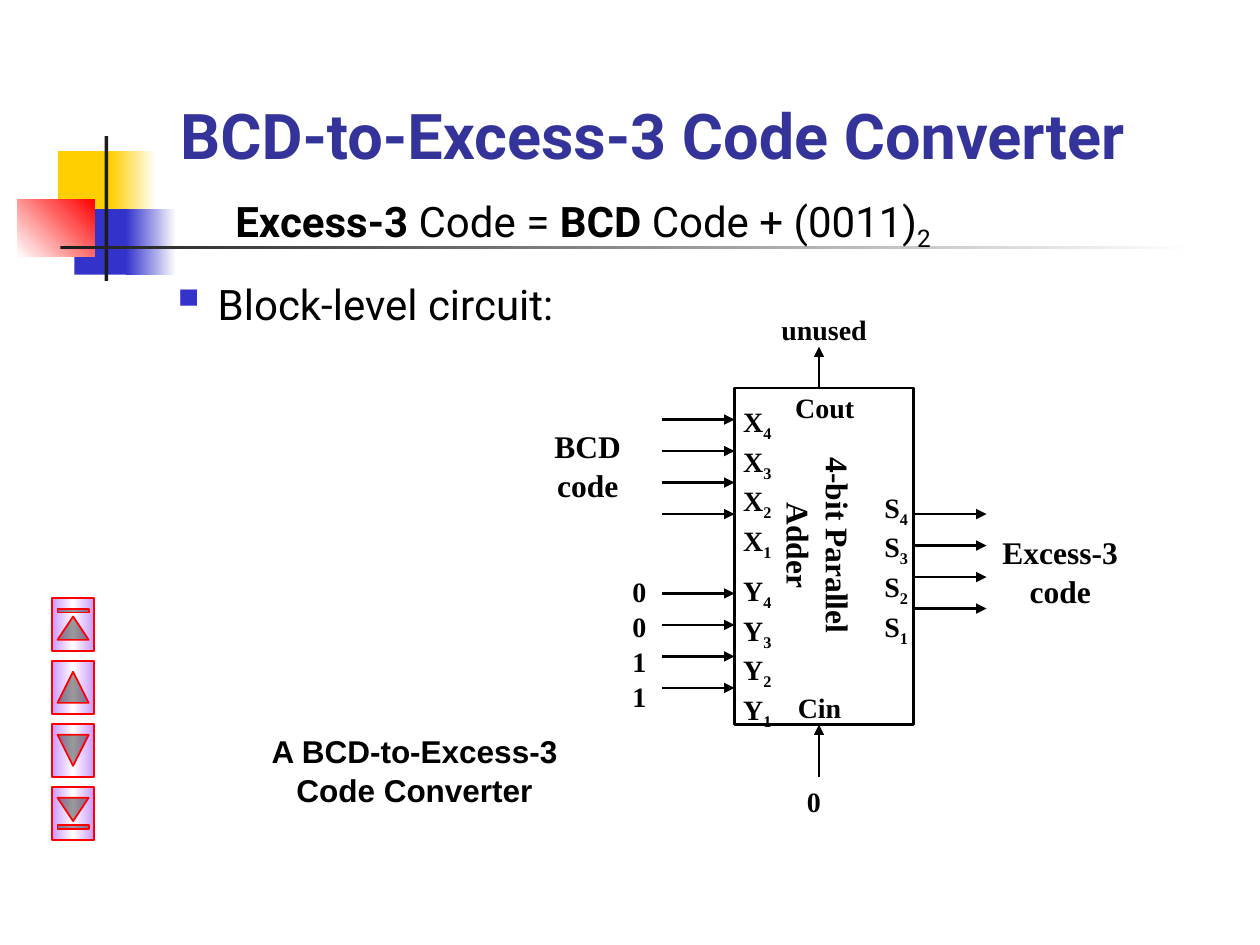
import pptx
import pptx.util
import pptx.dml.color
import pptx.enum.shapes
import pptx.enum.text
import pptx.oxml
import pptx.oxml.ns

Inches, Pt = pptx.util.Inches, pptx.util.Pt
RGB = pptx.dml.color.RGBColor
SHAPE = pptx.enum.shapes.MSO_SHAPE
ALIGN = pptx.enum.text.PP_ALIGN
ANCHOR = pptx.enum.text.MSO_ANCHOR

BLACK, WHITE = RGB(0, 0, 0), RGB(255, 255, 255)
INK = RGB(0x1C, 0x1C, 0x1C)
YELLOW = RGB(0xFF, 0xCF, 0x01)
BLUE = RGB(0x33, 0x33, 0xCC)
TITLE_BLUE = RGB(0x33, 0x33, 0x99)
RED = RGB(0xFF, 0, 0)
LILAC = RGB(0xCC, 0x99, 0xFF)

SERIF_16 = {"name": "Times New Roman", "size": Pt(16), "bold": True}
SERIF_18 = {**SERIF_16, "size": Pt(18)}
ARIAL_18 = {**SERIF_18, "name": "Arial"}
ROBOTO_24 = {"name": "Roboto", "size": Pt(24)}
ROBOTO_36 = {"name": "Roboto", "size": Pt(36), "bold": True}


def xml(text):
    """Parse one DrawingML element."""
    return pptx.oxml.parse_xml(text.replace(">", f' {pptx.oxml.ns.nsdecls("a")}>', 1)
                               if "/>" not in text.split(">")[0] + ">"
                               else text.replace("/>", f' {pptx.oxml.ns.nsdecls("a")}/>', 1))


def set_format(obj, values):
    """Set each attribute of an object from a dict."""
    for key, value in values.items():
        setattr(obj, key, value)


def fill_gradient(sp, colors, angle):
    """Fill a shape with evenly spaced colours at a clockwise angle."""
    stops = "".join(
        f'<a:gs pos="{100000 * i // (len(colors) - 1)}"><a:srgbClr val="{c}"/></a:gs>'
        for i, c in enumerate(colors))
    sp.fill.background()
    old = sp._element.spPr.find(pptx.oxml.ns.qn("a:noFill"))
    old.getparent().replace(old, xml(
        f'<a:gradFill rotWithShape="1"><a:gsLst>{stops}</a:gsLst>'
        f'<a:lin ang="{angle * 60000}" scaled="0"/></a:gradFill>'))


def add_block(s, kind, box, colors=(), angle=0, line=None, width=1):
    """Add a shape with no fill, one colour or a gradient."""
    sp = s.shapes.add_shape(kind, *map(Inches, box))
    sp.shadow.inherit = False
    if len(colors) > 1:
        fill_gradient(sp, colors, angle)
    elif colors:
        sp.fill.solid()
        sp.fill.fore_color.rgb = colors[0]
    else:
        sp.fill.background()
    if line is None:
        sp.line.fill.background()
    else:
        sp.line.color.rgb = line
        sp.line.width = Pt(width)
    return sp


def add_run(p, text, font, color=BLACK, sub=False):
    """Add one formatted run, lowered if it is a subscript."""
    r = p.add_run()
    r.text = text
    set_format(r.font, font)
    r.font.color.rgb = color
    if sub:
        r.font._element.set("baseline", "-25000")


def add_label(s, box, lines, font, align=ALIGN.CENTER, rotation=0):
    """Add a text box; each line is a word with an optional subscript."""
    sp = s.shapes.add_textbox(*map(Inches, box))
    sp.rotation = rotation
    tf = sp.text_frame
    tf.word_wrap = True
    for i, (text, sub) in enumerate(lines):
        p = tf.paragraphs[0] if i == 0 else tf.add_paragraph()
        set_format(p, {"alignment": align, "line_spacing": 1.04})
        add_run(p, text, font)
        if sub:
            add_run(p, sub, font, sub=True)


def add_arrow(s, x1, y1, x2, y2):
    """Add a thin black arrow."""
    c = s.shapes.add_connector(pptx.enum.shapes.MSO_CONNECTOR.STRAIGHT,
                               *map(Inches, (x1, y1, x2, y2)))
    c.line.color.rgb = BLACK
    c.line.width = Pt(1.25)
    c.line._get_or_add_ln().append(xml('<a:tailEnd type="triangle"/>'))
    c._element.spPr.append(xml("<a:effectLst/>"))


def add_decoration(s, x, y):
    """Draw the coloured squares and the crossing rules."""
    for dx, dy, w, h, colors, angle in [
            (0.32, 0.12, 0.48, 0.52, [YELLOW], 0),
            (0.74, 0.12, 0.36, 0.52, [YELLOW, WHITE], 0),
            (0.45, 0.58, 0.46, 0.52, [BLUE], 0),
            (0.86, 0.58, 0.4, 0.52, [BLUE, WHITE], 0),
            (0, 0.5, 0.61, 0.46, [WHITE, RED], 315),
            (0.69, 0, 0.03, 1.15, [INK], 0),
            (0.34, 0.87, 9, 0.03, [INK, WHITE], 0)]:
        add_block(s, SHAPE.RECTANGLE, (x + dx, y + dy, w, h), colors, angle)


def add_title(s, box, text):
    """Place and format the title placeholder."""
    sp = s.shapes.title
    set_format(sp, dict(zip(("left", "top", "width", "height"), map(Inches, box))))
    tf = sp.text_frame
    set_format(tf, {"vertical_anchor": ANCHOR.BOTTOM, "word_wrap": True,
                    "auto_size": pptx.enum.text.MSO_AUTO_SIZE.NONE})
    tf.paragraphs[0].alignment = ALIGN.LEFT
    add_run(tf.paragraphs[0], text, ROBOTO_36, TITLE_BLUE)


def add_body(s, box):
    """Write the code equation and the bulleted line."""
    tf = s.shapes.add_textbox(*map(Inches, box)).text_frame
    tf.word_wrap = True
    p = tf.paragraphs[0]
    p._p.get_or_add_pPr().set("marL", str(Inches(0.52)))
    for text, bold, sub in [("Excess-3", True, False), (" Code = ", False, False),
                            ("BCD", True, False), (" Code + (0011)", False, False),
                            ("2", False, True)]:
        add_run(p, text, {**ROBOTO_24, "bold": bold}, sub=sub)
    p = tf.add_paragraph()
    p.space_before = Pt(15)
    pPr = p._p.get_or_add_pPr()
    pPr.set("marL", str(Inches(0.38)))
    pPr.set("indent", str(-Inches(0.38)))
    for part in (f'<a:buClr><a:srgbClr val="{BLUE}"/></a:buClr>',
                 '<a:buSzPct val="120000"/>', '<a:buChar char="▪"/>'):
        pPr.append(xml(part))
    add_run(p, "Block-level circuit:", ROBOTO_24)


def add_circuit(s, box):
    """Draw the adder with its inputs, outputs and carries."""
    x, y, w, h = box
    right, bottom, mid, reach = x + w, y + h, x + 0.67, 0.58
    add_block(s, SHAPE.RECTANGLE, box, line=BLACK, width=1.5)
    add_label(s, (x - 0.15, y + 0.9, 1.67, 0.7), [("4-bit Parallel Adder", "")],
              SERIF_18, rotation=90)
    for name, dx, dy in [("X", -0.03, 0.07), ("Y", -0.03, 1.41), ("S", 1.09, 0.75)]:
        add_label(s, (x + dx, y + dy, 0.5, 1.32), [(name, n) for n in "4321"],
                  SERIF_16, ALIGN.LEFT)
    for start, dy in [(x - reach, 0.25), (x - reach, 1.63), (right, 1)]:
        for i in range(4):
            level = y + dy + 0.25 * i
            add_arrow(s, start, level, start + reach, level)
    add_arrow(s, mid, bottom + 0.42, mid, bottom)
    add_arrow(s, mid, y, mid, y - 0.33)
    add_label(s, (x - 0.91, y + 1.42, 0.33, 1.17), [(d, "") for d in "0011"],
              SERIF_16, ALIGN.LEFT)
    for left, top, width, words in [(x - 1.58, y + 0.25, 0.83, ("BCD", "code")),
                                    (right + 0.58, y + 1.09, 1.17, ("Excess-3", "code"))]:
        add_label(s, (left, top, width, 0.7), [(word, "") for word in words], SERIF_18)
    for dx, top, width, word in [(0.25, y - 0.66, 0.92, "unused"),
                                 (0.42, bottom + 0.42, 0.42, "0"),
                                 (0.34, bottom - 0.33, 0.67, "Cin"),
                                 (0.34, y - 0.04, 0.75, "Cout")]:
        add_label(s, (x + dx, top, width, 0.37), [(word, "")], SERIF_16)


def add_navigation(s, x, y, w, h, pitch):
    """Stack the four turned navigation buttons."""
    for i, kind in enumerate([SHAPE.ACTION_BUTTON_BEGINNING,
                              SHAPE.ACTION_BUTTON_BACK_OR_PREVIOUS,
                              SHAPE.ACTION_BUTTON_FORWARD_OR_NEXT,
                              SHAPE.ACTION_BUTTON_END]):
        sp = add_block(s, kind, (x, y + pitch * i, w, h), [LILAC, WHITE, LILAC], 90, RED)
        sp.rotation = 90


def main():
    """Build and save the slide."""
    prs = pptx.Presentation()
    prs.slide_width, prs.slide_height = Inches(10), Inches(7.5)
    s = prs.slides.add_slide(prs.slide_layouts[5])
    add_decoration(s, 0.14, 1.08)
    add_title(s, (1.33, 0.17, 8.5, 1.25), "BCD-to-Excess-3 Code Converter")
    add_body(s, (1.25, 1.5, 8.5, 1.17))
    add_circuit(s, (5.83, 3.08, 1.42, 2.67))
    add_label(s, (1.83, 5.75, 2.92, 0.7), [("A BCD-to-Excess-3 Code Converter", "")], ARIAL_18)
    add_navigation(s, 0.37, 4.79, 0.42, 0.33, 0.5)
    prs.save("out.pptx")


if __name__ == "__main__":
    main()
